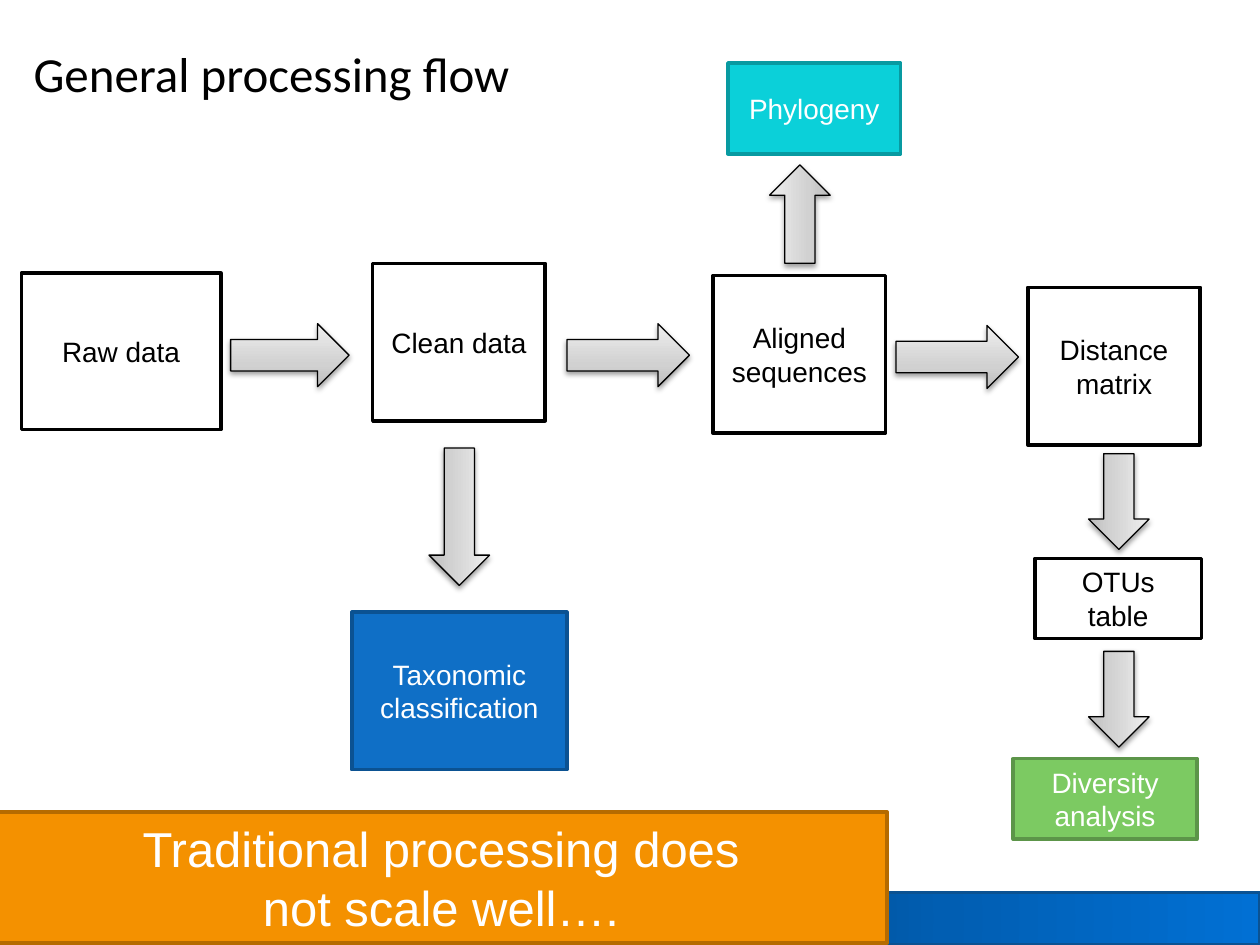
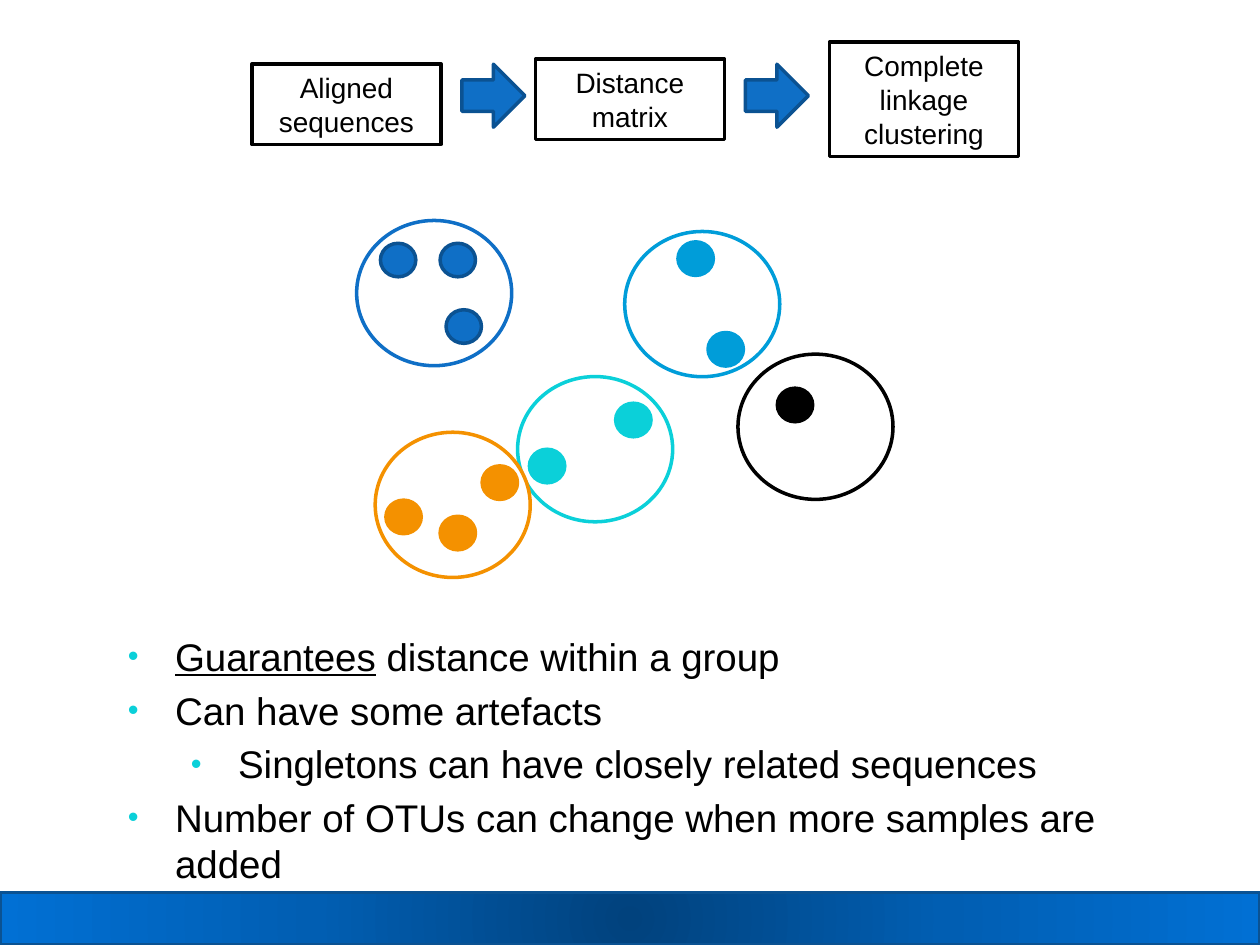
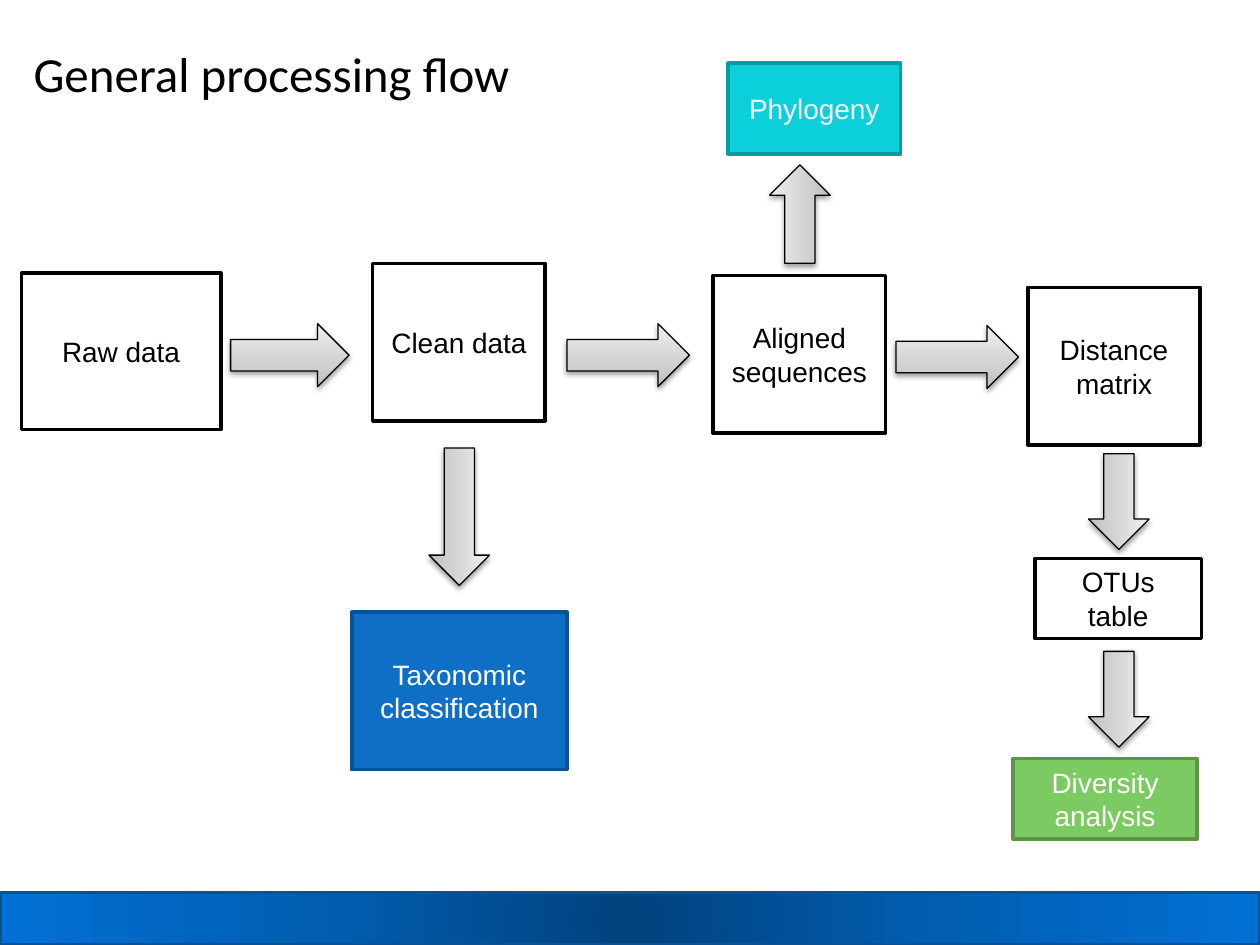
"""Build three slides on sequence processing and OTU clustering."""
from pptx import Presentation
from pptx.dml.color import RGBColor
from pptx.enum.shapes import MSO_SHAPE as SHAPE
from pptx.enum.text import MSO_ANCHOR as ANCHOR, PP_ALIGN as ALIGN
from pptx.oxml import parse_xml
from pptx.oxml.ns import nsdecls, qn
from pptx.util import Pt

COLORS = {
    "black": "000000", "white": "FFFFFF",
    "blue": "0F6FC6", "blue_edge": "0B5292",
    "sky": "009DD9", "cyan": "0BD0D9", "cyan_edge": "089AA1",
    "green": "7CCA62", "green_edge": "5C9549",
    "orange": "F49100", "orange_edge": "B56B00",
}
BAND_STOPS = [(0, "01427D"), (50, "015EB2"), (100, "0170D4")]
BAND_SHADE = ('<a:path path="circle"><a:fillToRect l="50000" t="50000" '
              'r="50000" b="50000"/></a:path>')
ARROW_STOPS = [(0, "BDBDBD"), (35, "D1D1D1"), (100, "EEEEEE")]
ARROW_SHADE = '<a:lin ang="16200000" scaled="0"/>'
SHADOW = (f'<a:outerShdw {nsdecls("a")} blurRad="40000" dist="20000" '
          'dir="5400000" rotWithShape="0"><a:srgbClr val="000000">'
          '<a:alpha val="38000"/></a:srgbClr></a:outerShdw>')


def add_block(s, kind, box, fill, edge, text="", color="black", size=16, weight=2):
    sp = s.shapes.add_shape(kind, *map(Pt, box))
    sp.shadow.inherit = False
    sp.fill.solid()
    sp.fill.fore_color.rgb = RGBColor.from_string(COLORS[fill])
    sp.line.color.rgb = RGBColor.from_string(COLORS[edge])
    sp.line.width = Pt(weight)
    if text:
        tf = sp.text_frame
        tf.text = text
        tf.word_wrap = True
        for p in tf.paragraphs:
            p.alignment = ALIGN.CENTER
            p.font.name = "Arial"
            p.font.size = Pt(size)
            p.font.color.rgb = RGBColor.from_string(COLORS[color])
    return sp


def set_gradient(sp, stops, shade):
    gs = "".join(f'<a:gs pos="{pos * 1000}"><a:srgbClr val="{rgb}"/></a:gs>'
                 for pos, rgb in stops)
    grad = parse_xml(f'<a:gradFill {nsdecls("a")} rotWithShape="1">'
                     f'<a:gsLst>{gs}</a:gsLst>{shade}</a:gradFill>')
    spPr = sp._element.spPr
    spPr.replace(spPr.find(qn("a:solidFill")), grad)


prs = Presentation()
prs.slide_width, prs.slide_height = Pt(720), Pt(540)
title_only, blank = prs.slide_layouts[5], prs.slide_layouts[6]
flow, clustering, flow_again = [
    prs.slides.add_slide(layout) for layout in (title_only, blank, title_only)]

for s in prs.slides:
    band = add_block(s, SHAPE.RECTANGLE, (0, 510, 720, 30), "blue", "blue_edge")
    set_gradient(band, BAND_STOPS, BAND_SHADE)

flow_steps = [
    ("Raw data", (12.2, 156, 114, 89.5), "white", "black", "black"),
    ("Clean data", (213, 150.5, 98.6, 90), "white", "black", "black"),
    ("Aligned sequences", (407.5, 157.5, 98.6, 90), "white", "black", "black"),
    ("Distance matrix", (587.3, 164.2, 98.6, 90), "white", "black", "black"),
    ("OTUs\ntable", (591.5, 319, 95, 46), "white", "black", "black"),
    ("Phylogeny", (416, 36, 98.6, 52), "cyan", "cyan_edge", "white"),
    ("Taxonomic classification", (201, 349.8, 123, 90), "blue", "blue_edge", "white"),
    ("Diversity analysis", (579, 433.5, 105, 46), "green", "green_edge", "white"),
]
flow_arrows = [
    ((131.8, 185, 67.7, 36), 0),
    ((324, 185, 70, 36), 0),
    ((512, 186, 70, 36), 0),
    ((223.2, 278, 78.5, 34.6), 90),
    ((612, 269.3, 54.7, 34.6), 90),
    ((612, 382.3, 54.7, 34.6), 90),
    ((429, 105, 56.2, 34.6), 270),
]
for s in (flow, flow_again):
    title = s.shapes.title
    title.left, title.top, title.width, title.height = map(Pt, (12, 21, 347, 41))
    tf = title.text_frame
    tf.text = "General processing flow"
    tf.vertical_anchor = ANCHOR.TOP
    p = tf.paragraphs[0]
    p.alignment = ALIGN.LEFT
    p.font.name = "Calibri"
    p.font.size = Pt(28)
    p.font.color.rgb = RGBColor.from_string(COLORS["black"])
    for text, box, fill, edge, color in flow_steps:
        add_block(s, SHAPE.RECTANGLE, box, fill, edge, text, color)
    for box, rotation in flow_arrows:
        arrow = add_block(s, SHAPE.RIGHT_ARROW, box, "white", "black", weight=0.75)
        arrow.rotation = rotation
        set_gradient(arrow, ARROW_STOPS, ARROW_SHADE)
        arrow._element.spPr.find(qn("a:effectLst")).append(parse_xml(SHADOW))

add_block(flow, SHAPE.RECTANGLE, (-3, 464, 510, 75), "orange", "orange_edge",
          "Traditional processing does\nnot scale well….", "white", 28)

for text, left, top, height in [
    ("Aligned sequences", 144, 36.5, 46),
    ("Distance matrix", 306, 33.7, 46),
    ("Complete linkage clustering", 474, 24, 65.5),
]:
    add_block(clustering, SHAPE.RECTANGLE, (left, top, 108, height),
              "white", "black", text)
for left in (264, 426):
    add_block(clustering, SHAPE.RIGHT_ARROW, (left, 36.7, 36, 36), "blue", "blue_edge")

clusters = [
    ("blue", "blue_edge", (203.8, 126), [(254.9, 177), (217.4, 139), (251.5, 139)]),
    ("sky", "sky", (357, 132.3), [(404.6, 190), (387.4, 138.2)]),
    ("cyan", "cyan", (295.8, 215.2), [(302.5, 256.7), (351.8, 230.4)]),
    ("black", "black", (421.7, 202.4), [(444.2, 221.8)]),
    ("orange", "orange", (214.4, 247), [(220.5, 285.8), (251.5, 295), (275.5, 266.2)]),
]
for color, dot_edge, ring, dots in clusters:
    add_block(clustering, SHAPE.OVAL, (*ring, 88.6, 83), "white", color)
    for dot in dots:
        add_block(clustering, SHAPE.OVAL, (*dot, 20.2, 19.2), color, dot_edge)

tf = clustering.shapes.add_textbox(Pt(66), Pt(358), Pt(582), Pt(156)).text_frame
tf.word_wrap = True
points = [
    ("Guarantees distance within a group", 0),
    ("Can have some artefacts", 0),
    ("Singletons can have closely related sequences", 1),
    ("Number of OTUs can change when more samples are added", 0),
]
tf.text = "\n".join(text for text, level in points)
for p, (text, level) in zip(tf.paragraphs, points):
    p.level = level
    p.space_before = Pt(4.4)
    p.font.name = "Arial"
    p.font.size = Pt(22)
    p.font.color.rgb = RGBColor.from_string(COLORS["black"])
    pPr = p._p.get_or_add_pPr()
    pPr.set("marL", str(Pt(27 + 36 * level)))
    pPr.set("indent", str(-Pt(27)))
    bullet = [
        f'<a:buClr {nsdecls("a")}><a:srgbClr val="{COLORS["cyan"]}"/></a:buClr>',
        f'<a:buSzPct {nsdecls("a")} val="80000"/>',
        f'<a:buFont {nsdecls("a")} typeface="Arial"/>',
        f'<a:buChar {nsdecls("a")} char="•"/>',
    ]
    for offset, xml in enumerate(bullet, 1):
        pPr.insert(offset, parse_xml(xml))

p = tf.paragraphs[0]
r = p.runs[0]
r.text = "Guarantees"
r.font.underline = True
p.add_run().text = " distance within a group"

prs.save("out.pptx")
